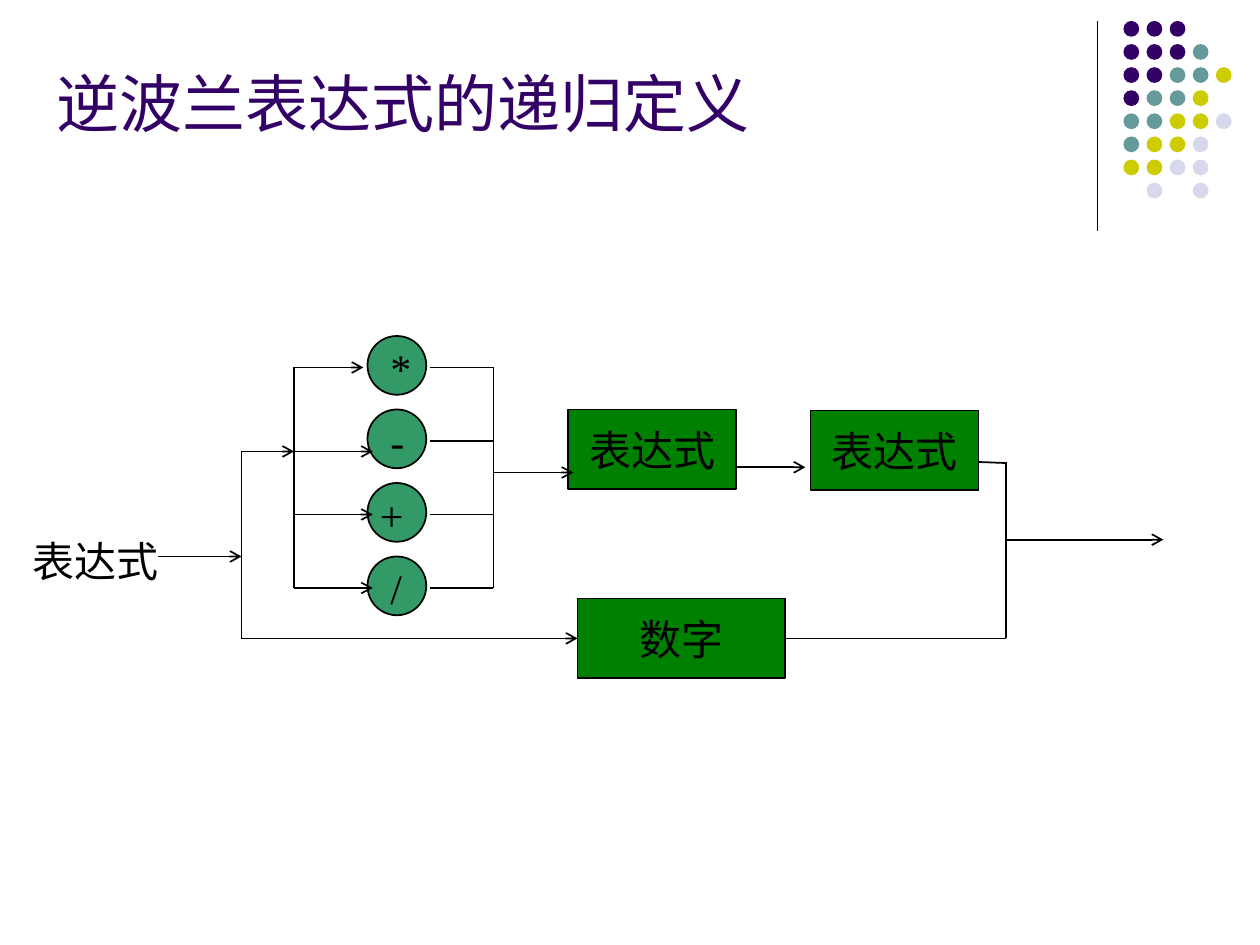
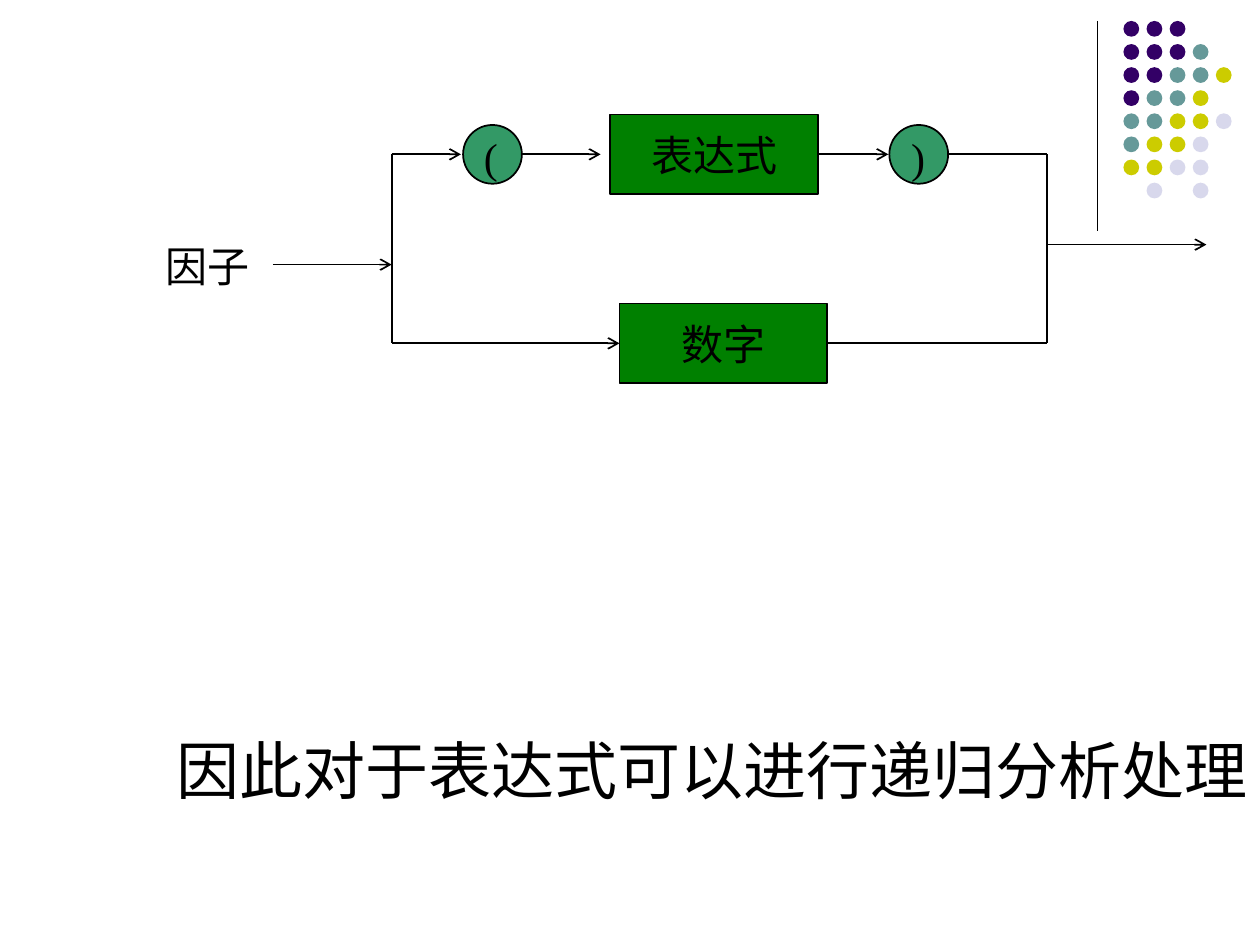
from lxml.etree import SubElement
from pptx import Presentation
from pptx.dml.color import RGBColor
from pptx.enum.shapes import MSO_CONNECTOR, MSO_SHAPE
from pptx.enum.text import MSO_ANCHOR, PP_ALIGN
from pptx.oxml.ns import qn
from pptx.util import Emu, Inches, Pt

COLUMNS, ROWS = 120, 90
SLIDE_WIDTH, SLIDE_HEIGHT = Inches(10), Inches(7.5)
BLACK, PURPLE, TEAL, YELLOW, LILAC = "000000", "330066", "669999", "CCCC00", "D8D8EC"
BOX_GREEN, SYMBOL_GREEN = "008000", "339966"
LATIN_FONT, CHINESE_FONT = "Times New Roman", "Noto Sans CJK SC"
BOX_HEIGHT, SYMBOL_SIZE, LABEL_HEIGHT = 7.6, 5.6, 6
WIDE_BOX, NARROW_BOX = 19.8, 16
DOT_SIZE, DOT_STEP = 1.5, 2.2
DOT_COLORS = {"P": PURPLE, "T": TEAL, "Y": YELLOW, "L": LILAC}
DOT_PATTERN = ["PPP", "PPPT", "PPTTY", "PTTY", "TTYYL", "TYYL", "YYLL", ".L.L"]


def color(value):
    """Turn a hex string into a colour."""
    return RGBColor.from_string(value)


def place(column, row):
    """Convert grid columns and rows to lengths on the slide."""
    return Emu(round(SLIDE_WIDTH * column / COLUMNS)), Emu(round(SLIDE_HEIGHT * row / ROWS))


def write(shape, text, size=24, ink=BLACK, font=LATIN_FONT):
    """Fill a shape with one formatted line of text."""
    para = shape.text_frame.paragraphs[0]
    para.text = text
    span = para.runs[0]
    span.font.size = Pt(size)
    span.font.name = font
    span.font.color.rgb = color(ink)
    SubElement(span.font._element, qn("a:ea"), typeface=CHINESE_FONT)
    return para


def add_label(slide, text, left, top, width, height=LABEL_HEIGHT, anchor=MSO_ANCHOR.TOP, **style):
    """Add a wrapping text box."""
    box = slide.shapes.add_textbox(*place(left, top), *place(width, height))
    box.text_frame.word_wrap = True
    box.text_frame.vertical_anchor = anchor
    write(box, text, **style)
    return box


def add_figure(slide, kind, left, top, width, height, fill, outlined=True):
    """Add a filled preset shape without a shadow."""
    figure = slide.shapes.add_shape(kind, *place(left, top), *place(width, height))
    figure.shadow.inherit = False
    figure.fill.solid()
    figure.fill.fore_color.rgb = color(fill)
    if outlined:
        figure.line.color.rgb = color(BLACK)
        figure.line.width = Pt(1)
    else:
        figure.line.fill.background()
    return figure


def add_box(slide, text, left, top, width):
    """Add a green rectangle for a grammar rule."""
    box = add_figure(slide, MSO_SHAPE.RECTANGLE, left, top, width, BOX_HEIGHT, BOX_GREEN)
    box.text_frame.word_wrap = False
    box.text_frame.vertical_anchor = MSO_ANCHOR.MIDDLE
    write(box, text).alignment = PP_ALIGN.CENTER
    return box


def add_symbol(slide, text, left, top, label_left):
    """Add a circle with the character that it stands for."""
    add_figure(slide, MSO_SHAPE.OVAL, left, top, SYMBOL_SIZE, SYMBOL_SIZE, SYMBOL_GREEN)
    add_label(slide, text, label_left, top, 4.7)


def add_line(slide, start, end, arrow=False, source=None, target=None, weight=1):
    """Draw a line, joined to the right of source and the left of target."""
    line = slide.shapes.add_connector(MSO_CONNECTOR.STRAIGHT, *place(*start), *place(*end))
    if source is not None:
        line.begin_connect(source, 3)
    if target is not None:
        line.end_connect(target, 1)
    line.line.color.rgb = color(BLACK)
    line.line.width = Pt(weight)
    if arrow:
        SubElement(line.line._get_or_add_ln(), qn("a:tailEnd"), type="arrow")
    SubElement(line._element.spPr, qn("a:effectLst"))


def add_slide(deck):
    """Add a blank slide with the rule and dots in its corner."""
    slide = deck.slides.add_slide(deck.slide_layouts[6])
    add_line(slide, (104.5, 2), (104.5, 22), weight=0.75)
    for row, pattern in enumerate(DOT_PATTERN):
        for column, key in enumerate(pattern):
            if key in DOT_COLORS:
                add_figure(slide, MSO_SHAPE.OVAL, 107 + column * DOT_STEP, 2 + row * DOT_STEP,
                           DOT_SIZE, DOT_SIZE, DOT_COLORS[key], outlined=False)
    return slide


def build_expression(deck):
    """Build the syntax diagram of an expression."""
    slide = add_slide(deck)
    add_label(slide, "逆波兰表达式的递归定义", 4.2, 2.5, 99, 11.4, MSO_ANCHOR.BOTTOM,
              size=36, ink=PURPLE, font=CHINESE_FONT)
    add_label(slide, "表达式", 1.9, 50.4, 19.9)
    add_box(slide, "表达式", 54.1, 39, NARROW_BOX)
    add_box(slide, "表达式", 77.2, 39.1, NARROW_BOX)
    number = add_box(slide, "数字", 55, 57, WIDE_BOX)
    fork, split, merge, join, number_row = 23, 28, 47, 95.8, 60.8
    operators = [("*", 36, 35, 34.6), ("-", 36, 43, 35.5),
                 ("+", 35, 49, 35.5), ("/", 36, 56, 35.5)]
    for index, (operator, label_left, entry_row, entry_end) in enumerate(operators):
        add_symbol(slide, operator, 35, 32 + 7 * index, label_left)
        exit_row = 35 + 7 * index
        add_line(slide, (split, entry_row), (entry_end, entry_row), arrow=True)
        add_line(slide, (merge, exit_row), (41, exit_row))
    arrows = [((15, 53), (fork, 53)), ((fork, 43), (split, 43)), ((merge, 45), (54.6, 45)),
              ((70, 44.5), (76.7, 44.5)), ((join, 51.4), (110.8, 51.4))]
    for start, end in arrows:
        add_line(slide, start, end, arrow=True)
    for column, top, bottom in [(fork, 43, number_row), (split, 35, 56),
                                (merge, 35, 56), (join, 44, number_row)]:
        add_line(slide, (column, top), (column, bottom))
    add_line(slide, (93.2, 44), (join, 44.1))
    add_line(slide, (fork, number_row), (55, number_row), arrow=True, target=number)
    add_line(slide, (74.8, number_row), (join, number_row), source=number)


def build_factor(deck):
    """Build the syntax diagram of a factor and the conclusion."""
    slide = add_slide(deck)
    add_label(slide, "因子", 14.6, 22.3, 11.3)
    expression = add_box(slide, "表达式", 58.1, 10.9, WIDE_BOX)
    number = add_box(slide, "数字", 59, 28.9, WIDE_BOX)
    add_symbol(slide, "(", 44.1, 11.9, 44.9)
    add_symbol(slide, ")", 84.7, 11.9, 85.6)
    fork, join, upper, lower = 37.3, 99.7, 14.7, 32.7
    arrows = [((26, 25.2), (fork, 25.2)), ((fork, upper), (43.9, upper)),
              ((49.7, upper), (57.2, upper)), ((join, 23.3), (114.9, 23.3))]
    for start, end in arrows:
        add_line(slide, start, end, arrow=True)
    for column in (fork, join):
        add_line(slide, (column, upper), (column, lower))
    add_line(slide, (77.9, upper), (84.6, upper), arrow=True, source=expression)
    add_line(slide, (90.2, upper), (join, upper))
    add_line(slide, (fork, lower), (59, lower), arrow=True, target=number)
    add_line(slide, (78.8, lower), (join, lower), source=number)
    conclusion = add_label(slide, "因此对于表达式可以进行递归分析处理", 15.6, 56.3, 104.4, 21.2,
                           MSO_ANCHOR.BOTTOM, size=36)
    conclusion.text_frame.margin_right = 0


def main():
    """Create and save the deck."""
    deck = Presentation()
    deck.slide_width, deck.slide_height = SLIDE_WIDTH, SLIDE_HEIGHT
    build_expression(deck)
    build_factor(deck)
    deck.save("out.pptx")


if __name__ == "__main__":
    main()
